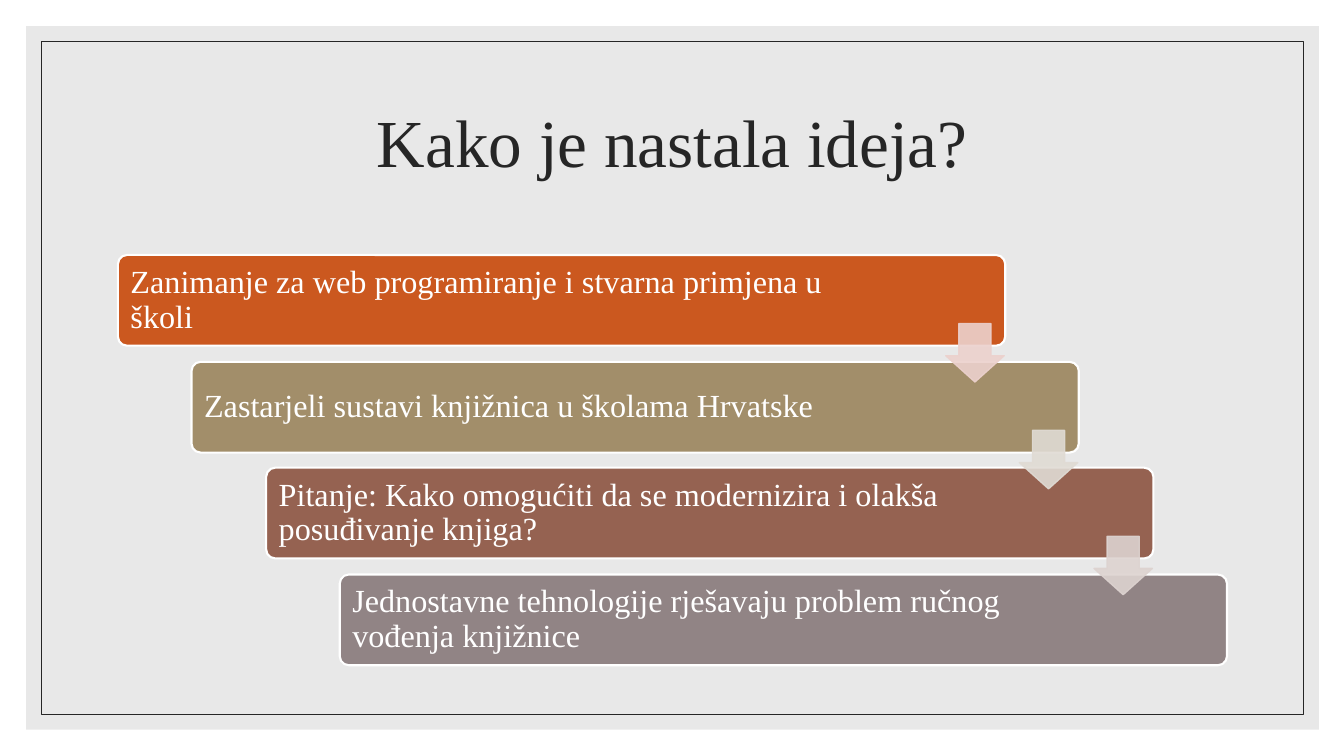
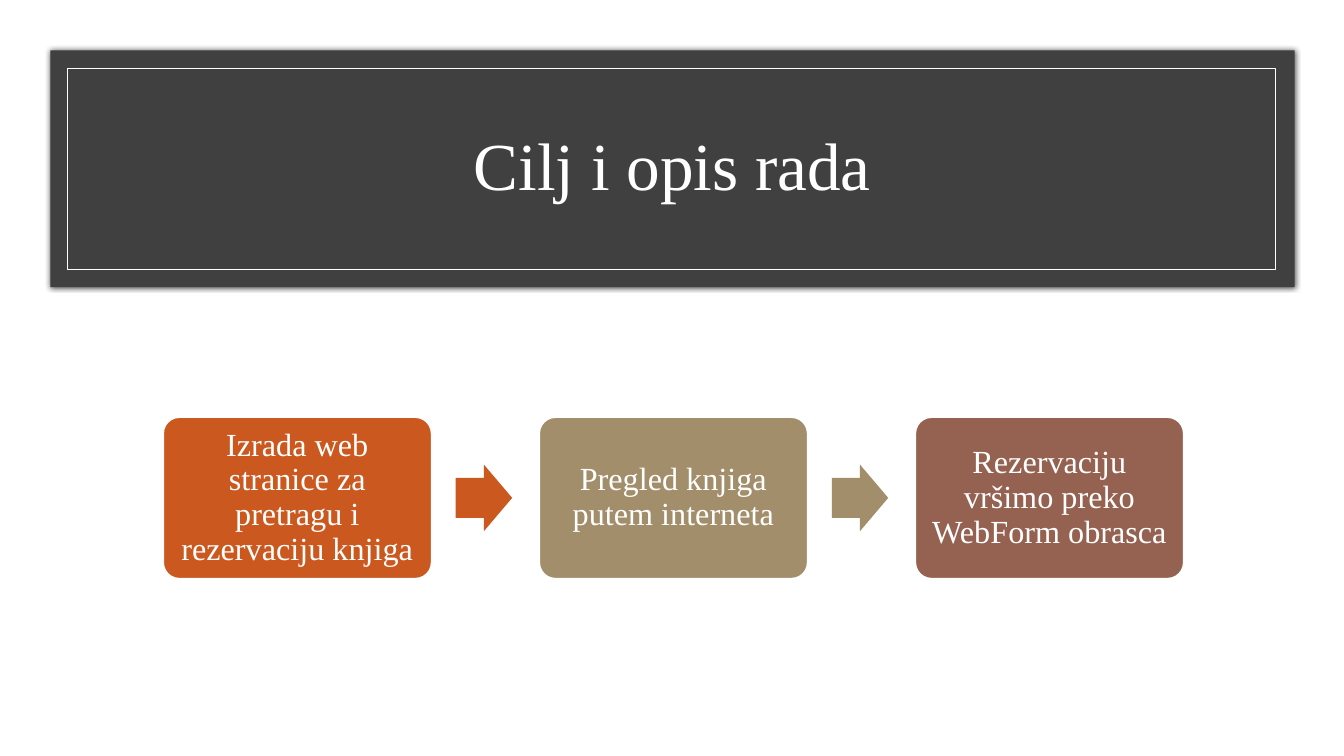
"""Build two slides: a staircase of ideas and a row of project steps."""
from dataclasses import dataclass

from lxml import etree
from pptx import Presentation
from pptx import util as u
from pptx.dml.color import RGBColor
from pptx.enum import shapes, text
from pptx.oxml.ns import qn

EMU_PER_PX = 9144
FONT = "Times New Roman"
WHITE, DARK, BAND, PALE = "FFFFFF", "262626", "404040", "D9D9D9"
ORANGE, SAND, BROWN, GREY = "CB581F", "A28E6A", "956251", "918485"
KIND = shapes.MSO_SHAPE
ALIGN = text.PP_ALIGN


@dataclass(frozen=True)
class Box:
    left: int
    top: int
    width: int
    height: int

    def shifted(self, right: float, down: float = 0) -> "Box":
        return Box(round(self.left + right), round(self.top + down), self.width, self.height)

    def emu(self) -> list[u.Emu]:
        return [px(n) for n in (self.left, self.top, self.width, self.height)]


@dataclass(frozen=True)
class Step:
    words: str
    fill: str
    arrow: str | None = None


IDEAS = [
    Step("Zanimanje za web programiranje i stvarna primjena u školi", ORANGE, "ECD1CD"),
    Step("Zastarjeli sustavi knjižnica u školama Hrvatske", SAND, "E0DBD4"),
    Step("Pitanje: Kako omogućiti da se modernizira i olakša posuđivanje knjiga?", BROWN, "DDD3D0"),
    Step("Jednostavne tehnologije rješavaju problem ručnog vođenja knjižnice", GREY),
]
GOALS = [
    Step("Izrada web stranice za pretragu i rezervaciju knjiga", ORANGE, ORANGE),
    Step("Pregled knjiga putem interneta", SAND, SAND),
    Step("Rezervaciju vršimo preko WebForm obrasca", BROWN),
]


def px(length: int) -> u.Emu:
    return u.Emu(length * EMU_PER_PX)


def colour(value: str) -> RGBColor:
    return RGBColor.from_string(value)


def draw(page, kind, box: Box, *, fill: str | None = None, line: str | None = None,
         weight: float = 1, adjust: tuple[float, ...] = (), opacity: int = 100):
    shape = page.shapes.add_shape(kind, *box.emu())
    shape.shadow.inherit = False
    for index, value in enumerate(adjust):
        shape.adjustments[index] = value
    if fill:
        shape.fill.solid()
        shape.fill.fore_color.rgb = colour(fill)
    else:
        shape.fill.background()
    if line:
        shape.line.color.rgb = colour(line)
        shape.line.width = u.Pt(weight)
    else:
        shape.line.fill.background()
    if opacity < 100:
        for tint in shape.element.spPr.iter(qn("a:srgbClr")):
            etree.SubElement(tint, qn("a:alpha"), val=str(opacity * 1000))
    return shape


def add_glow(shape) -> None:
    effects = shape.element.spPr.find(qn("a:effectLst"))
    shadow = etree.SubElement(effects, qn("a:outerShdw"), blurRad=str(u.Pt(4)),
                              dist="0", dir="0", algn="ctr", rotWithShape="0")
    tint = etree.SubElement(shadow, qn("a:srgbClr"), val="000000")
    etree.SubElement(tint, qn("a:alpha"), val="66000")


def write(shape, words: str, *, size: int = 23, tint: str = WHITE,
          align=ALIGN.CENTER, right_inset: int = 10) -> None:
    frame = shape.text_frame
    frame.word_wrap = True
    frame.vertical_anchor = text.MSO_ANCHOR.MIDDLE
    frame.margin_left = frame.margin_top = frame.margin_bottom = px(10)
    frame.margin_right = px(right_inset)
    para = frame.paragraphs[0]
    para.alignment = align
    para.line_spacing = 0.9
    span = para.add_run()
    span.text = words
    span.font.name = FONT
    span.font.size = u.Pt(size)
    span.font.color.rgb = colour(tint)


def add_title(page, words: str, top: int, tint: str) -> None:
    title = page.shapes.add_textbox(*Box(117, top, 1100, 150).emu())
    write(title, words, size=48, tint=tint)


def add_page(deck):
    page = deck.slides.add_slide(deck.slide_layouts[6])
    page.background.fill.solid()
    page.background.fill.fore_color.rgb = colour(WHITE)
    return page


def build_ideas(deck) -> None:
    page = add_page(deck)
    draw(page, KIND.RECTANGLE, Box(26, 26, 1282, 698), fill=PALE, opacity=60)
    draw(page, KIND.RECTANGLE, Box(41, 41, 1252, 668), line=DARK, weight=0.5)
    add_title(page, "Kako je nastala ideja?", 70, DARK)
    shifts = [(220 * i / 3, 317 * i / 3) for i in range(len(IDEAS))]
    for idea, shift in zip(IDEAS, shifts):
        card = draw(page, KIND.ROUNDED_RECTANGLE, Box(117, 253, 880, 90).shifted(*shift),
                    fill=idea.fill, line=WHITE, weight=1.5, adjust=(0.1,))
        write(card, idea.words, align=ALIGN.LEFT, right_inset=141)
    for idea, shift in zip(IDEAS, shifts):
        if idea.arrow:
            draw(page, KIND.DOWN_ARROW, Box(938, 321, 58, 58).shifted(*shift),
                 fill=idea.arrow, line=idea.arrow, adjust=(0.55, 0.45), opacity=90)


def build_goals(deck) -> None:
    page = add_page(deck)
    add_glow(draw(page, KIND.RECTANGLE, Box(50, 50, 1234, 235), fill=BAND))
    draw(page, KIND.RECTANGLE, Box(67, 68, 1198, 199), line=WHITE, weight=0.5)
    add_title(page, "Cilj i opis rada", 92, WHITE)
    for index, goal in enumerate(GOALS):
        shift = 373 * index
        card = draw(page, KIND.ROUNDED_RECTANGLE, Box(162, 414, 266, 160).shifted(shift),
                    fill=goal.fill, line=WHITE, adjust=(0.1,))
        write(card, goal.words)
        if goal.arrow:
            draw(page, KIND.RIGHT_ARROW, Box(452, 461, 56, 66).shifted(shift),
                 fill=goal.arrow, adjust=(0.6, 0.5))


def main() -> None:
    deck = Presentation()
    deck.slide_width, deck.slide_height = px(1333), px(750)
    build_ideas(deck)
    build_goals(deck)
    deck.save("out.pptx")


if __name__ == "__main__":
    main()
